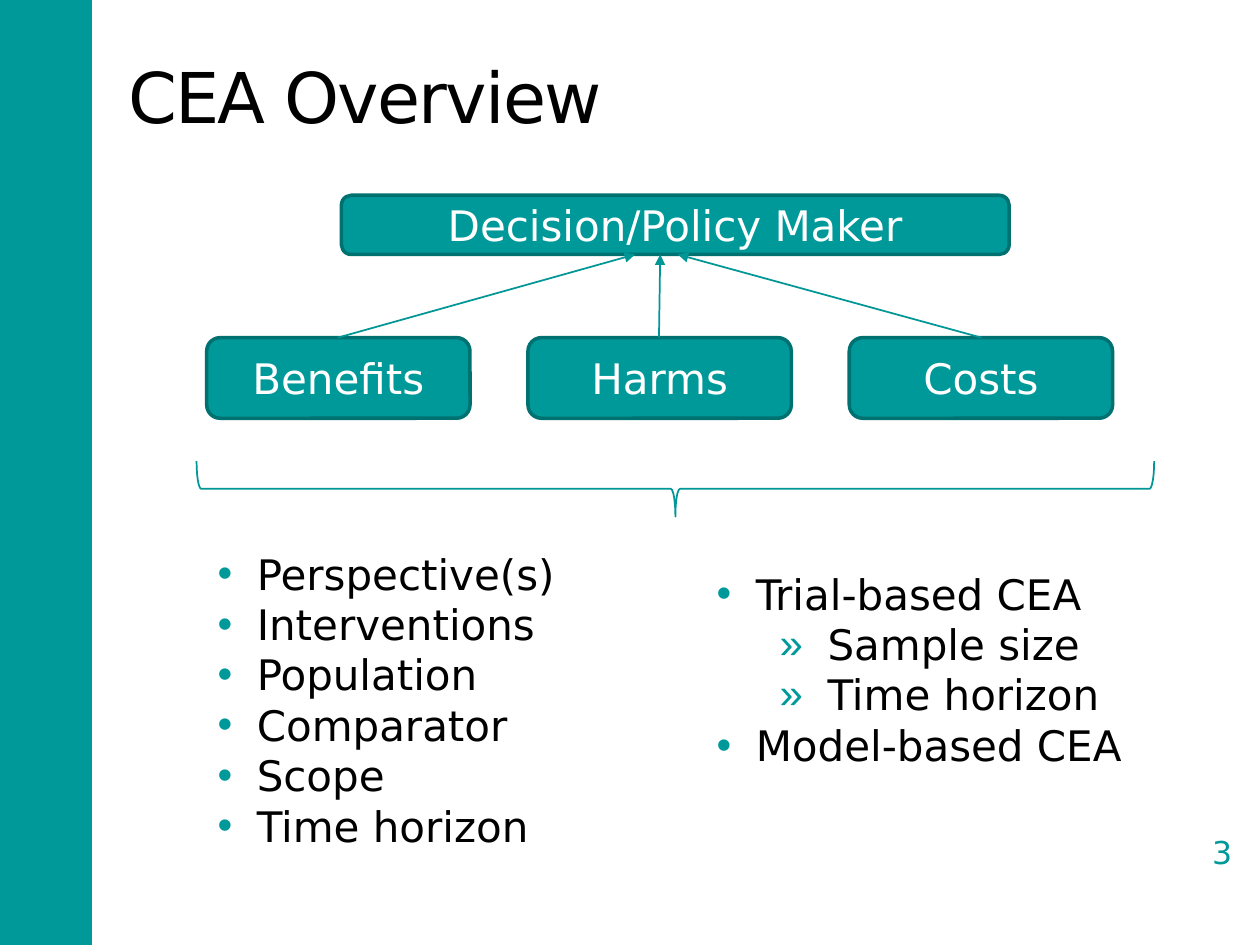
from lxml import etree
from pptx import Presentation
from pptx.dml.color import RGBColor
from pptx.enum import shapes, text
from pptx.oxml import ns
from pptx.util import Inches, Pt

HUES = {"teal": "009999", "edge": "007171", "line": "009696",
        "white": "FFFFFF", "black": "000000"}
MARKS = (("•", 0.31, 0.31), ("»", 0.88, 0.38))


def hue(name):
    return RGBColor.from_string(HUES[name])


def add(node, tag, **attrs):
    return etree.SubElement(node, ns.qn(tag), attrs)


def mark(par, level):
    sign, left, hang = MARKS[level]
    par.level = level
    props = par._p.get_or_add_pPr()
    props.set("marL", str(Inches(left)))
    props.set("indent", str(-Inches(hang)))
    add(add(props, "a:buClr"), "a:srgbClr", val=HUES["teal"])
    add(props, "a:buFont", typeface="Arial")
    add(props, "a:buChar", char=sign)


def write(par, words, size=24, color="black", align="LEFT", level=None, track=0):
    if level is not None:
        mark(par, level)
    par.alignment = getattr(text.PP_ALIGN, align)
    run = par.add_run()
    run.text = words
    run.font.name = "DejaVu Sans"
    run.font.size = Pt(size)
    run.font.color.rgb = hue(color)
    if track:
        run._r.get_or_add_rPr().set("spc", str(track * 100))


class Deck:
    def __init__(self):
        self.file = Presentation()
        self.file.slide_width = Inches(10)
        self.file.slide_height = Inches(7.5)
        self.page = self.file.slides.add_slide(self.file.slide_layouts[6])

    def shape(self, kind, *at, fill=None, line=None, width=1):
        form = self.page.shapes.add_shape(
            getattr(shapes.MSO_SHAPE, kind), *map(Inches, at))
        form.shadow.inherit = False
        if fill:
            form.fill.solid()
            form.fill.fore_color.rgb = hue(fill)
        else:
            form.fill.background()
        if line:
            form.line.color.rgb = hue(line)
            form.line.width = Pt(width)
        else:
            form.line.fill.background()
        return form

    def node(self, words, *at):
        form = self.shape("ROUNDED_RECTANGLE", *at,
                          fill="teal", line="edge", width=2)
        frame = form.text_frame
        frame.vertical_anchor = text.MSO_ANCHOR.MIDDLE
        write(frame.paragraphs[0], words, color="white", align="CENTER")

    def title(self, words, *at):
        frame = self.page.shapes.add_textbox(*map(Inches, at)).text_frame
        frame.word_wrap = True
        frame.vertical_anchor = text.MSO_ANCHOR.MIDDLE
        write(frame.paragraphs[0], words, size=40, track=-1)

    def number(self, words, *at):
        form = self.shape("DOUBLE_BRACKET", *at, line="white", width=1.5)
        frame = form.text_frame
        frame.margin_left = frame.margin_right = 0
        frame.margin_top = frame.margin_bottom = 0
        frame.vertical_anchor = text.MSO_ANCHOR.MIDDLE
        write(frame.paragraphs[0], words, size=18, color="teal", align="CENTER")

    def bullets(self, items, *at, wrap=True):
        frame = self.page.shapes.add_textbox(*map(Inches, at)).text_frame
        frame.word_wrap = wrap
        frame.auto_size = text.MSO_AUTO_SIZE.SHAPE_TO_FIT_TEXT
        for spot, (words, level) in enumerate(items):
            par = frame.add_paragraph() if spot else frame.paragraphs[0]
            write(par, words, level=level)

    def arrow(self, *ends):
        link = self.page.shapes.add_connector(
            shapes.MSO_CONNECTOR.STRAIGHT, *map(Inches, ends))
        link.line.color.rgb = hue("line")
        link.line.width = Pt(1)
        add(link.line._get_or_add_ln(), "a:tailEnd", type="triangle")
        add(link._element.spPr, "a:effectLst")


def main():
    deck = Deck()
    deck.shape("RECTANGLE", -0.02, 0, 0.75, 7.5, fill="teal")
    deck.title("CEA Overview", 0.92, 0.3, 8.33, 0.91)
    deck.number("3", 9.4, 6.55, 0.6, 0.43)

    deck.node("Decision/Policy Maker", 2.71, 1.55, 5.3, 0.47)
    for spot, words in enumerate(("Benefits", "Harms", "Costs")):
        deck.node(words, 1.64 + 2.55 * spot, 2.68, 2.09, 0.64)

    brace = deck.shape("RIGHT_BRACE", 5.14, 0.08, 0.44, 7.6, line="line")
    brace.rotation = 90

    topics = ("Perspective(s)", "Interventions", "Population",
              "Comparator", "Scope", "Time horizon")
    deck.bullets([(words, 0) for words in topics], 1.63, 4.3, 3.6, 2.52)
    for start, end in ((2.68, 5.04), (5.23, 5.24), (7.79, 5.38)):
        deck.arrow(start, 2.68, end, 2.02)
    types = (("Trial-based CEA", 0), ("Sample size", 1),
             ("Time horizon", 1), ("Model-based CEA", 0))
    deck.bullets(types, 5.59, 4.46, 3.46, 1.72, wrap=False)

    deck.file.save("out.pptx")


if __name__ == "__main__":
    main()
